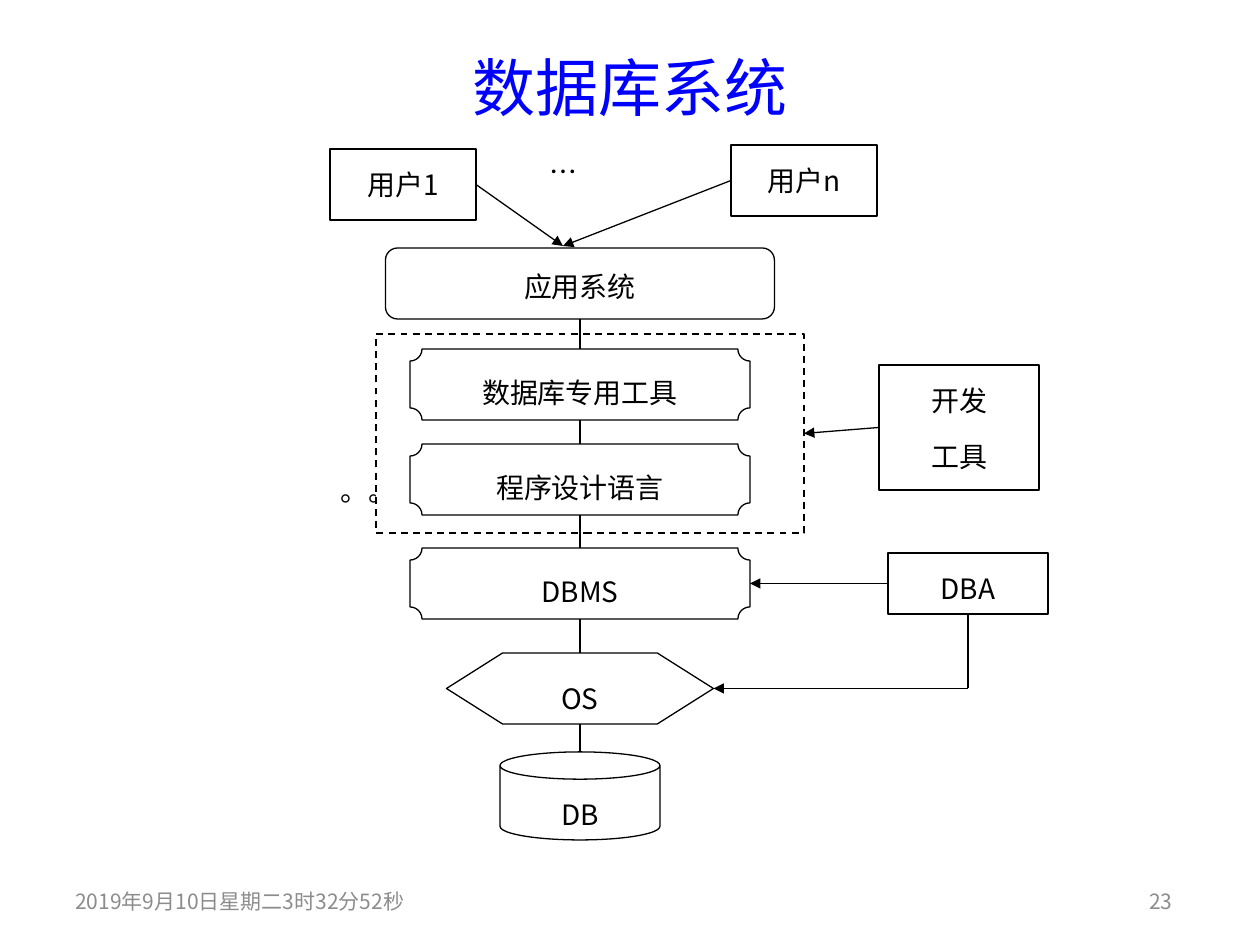
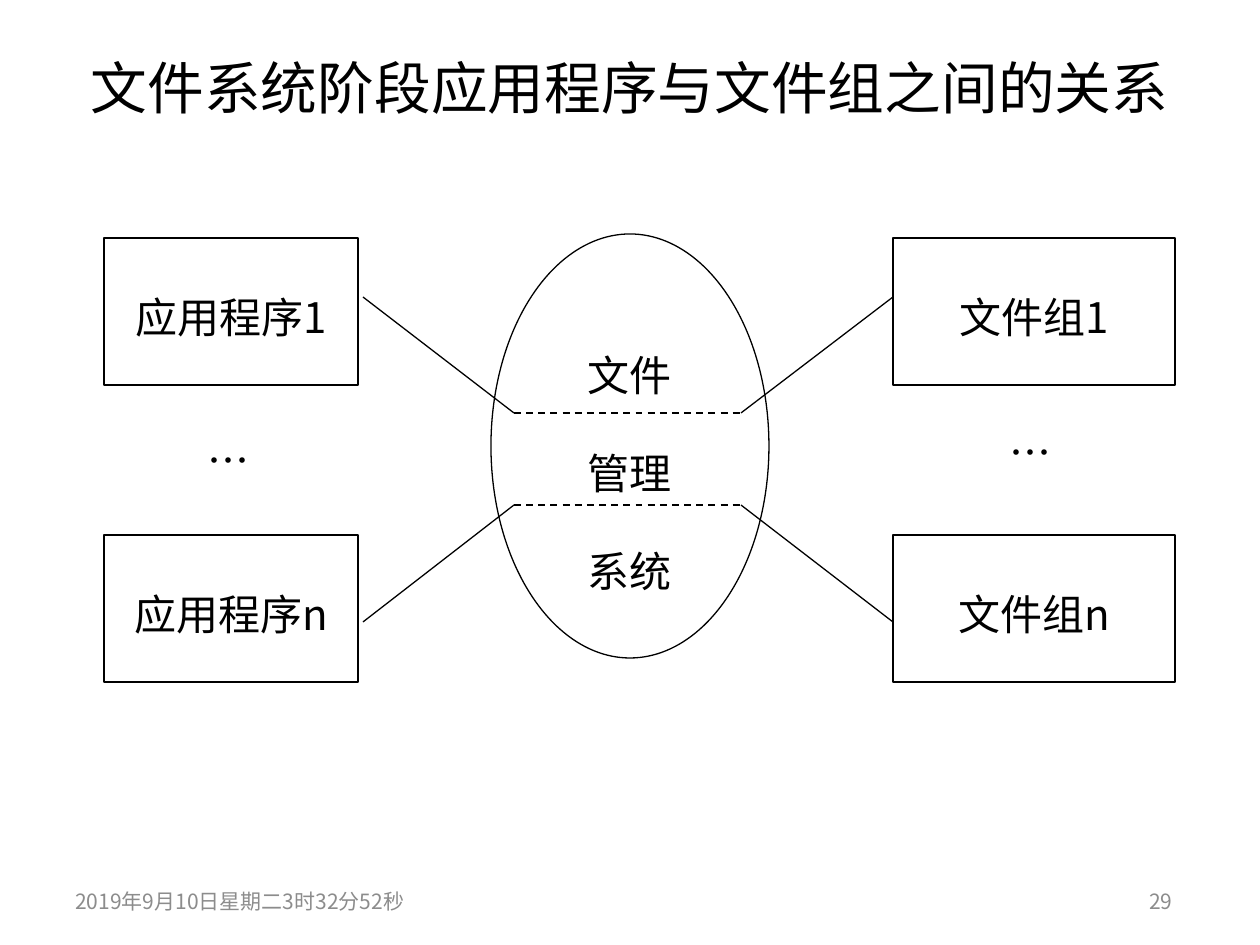
from pptx import Presentation, util as u
from pptx.dml.color import RGBColor
from pptx.enum import dml, shapes, text
from pptx.oxml import parse_xml
from pptx.oxml.ns import nsdecls, qn

FONT = "Noto Sans CJK SC"
BLACK, WHITE, BLUE, GRAY = "000000", "FFFFFF", "0000FF", "8C8C8C"
SHAPE, ALIGN, ANCHOR = shapes.MSO_SHAPE, text.PP_ALIGN, text.MSO_ANCHOR
DATE = "2019年9月10日星期二3时32分52秒"

# Slide 1: the layers share one centre line: text, shape, adjustment, top, width, height
AXIS = 580
LAYERS = [
    ("应用系统", SHAPE.ROUNDED_RECTANGLE, 0.17, 248, 389, 71),
    ("数据库专用工具", SHAPE.PLAQUE, 0.17, 349, 340, 71),
    ("程序设计语言", SHAPE.PLAQUE, 0.17, 444, 340, 71),
    ("DBMS", SHAPE.PLAQUE, 0.17, 548, 340, 71),
    ("OS", SHAPE.HEXAGON, 0.79, 653, 267, 71),
    ("DB", SHAPE.CAN, 0.31, 752, 160, 88),
]
# Boxes around the layers: text, (left, top, width, height)
ACTORS = [
    ("用户1", (330, 149, 146, 71)),
    ("用户n", (731, 145, 146, 71)),
    ("开发\n工具", (879, 365, 160, 125)),
    ("DBA", (888, 553, 160, 61)),
]
USER_ENTRY = (563, 246)
TOOL_GROUP = (376, 334, 428, 199)
DOTS = [("。。。", (273, 476, 219, 88)), ("…", (435, 157, 257, 88))]

# Slide 2: programs and file groups on either side of the file system
COLUMNS = [  # texts, left, width, ellipsis box, line start, line end
    (("应用程序1", "应用程序n"), 104, 254, (105, 381, 246, 146), 363, 514),
    (("文件组1", "文件组n"), 893, 282, (893, 373, 276, 146), 893, 741),
]
ROWS = [(238, 297, 413), (535, 622, 505)]  # box top, line start, line end
BOX_HEIGHT = 147
FILE_SYSTEM = ("文件\n管理\n系统", (491, 234, 278, 424))


def px(value):
    return u.Emu(round(value * 914400 / 126))


def rgb(code):
    return RGBColor.from_string(code)


def write(frame, words, size, color=BLACK, align=ALIGN.CENTER,
          anchor=ANCHOR.TOP, spacing=None, gap=0):
    frame.text = words
    frame.word_wrap = True
    frame.vertical_anchor = anchor
    for index, paragraph in enumerate(frame.paragraphs):
        paragraph.alignment = align
        if spacing:
            paragraph.line_spacing = u.Pt(spacing)
        if index and gap:
            paragraph.space_before = u.Pt(gap)
        for run in paragraph.runs:
            run.font.size = u.Pt(size)
            run.font.name = FONT
            run.font.color.rgb = rgb(color)
            run.font._element.get_or_add_latin().addnext(
                parse_xml(f'<a:ea {nsdecls("a")} typeface="{FONT}"/>'))


def outline(item, dashed=False):
    item.line.color.rgb = rgb(BLACK)
    item.line.width = u.Pt(1 if dashed else 0.75)
    if dashed:
        item.line.dash_style = dml.MSO_LINE.DASH


def add_label(slide, words, box, size, **style):
    label = slide.shapes.add_textbox(*map(px, box))
    write(label.text_frame, words, size, **style)


def add_box(slide, words, box, size=16, kind=SHAPE.RECTANGLE,
            adjustment=None, dashed=False, **style):
    shape = slide.shapes.add_shape(kind, *map(px, box))
    shape.shadow.inherit = False
    shape.fill.solid()
    shape.fill.fore_color.rgb = rgb(WHITE)
    outline(shape, dashed)
    if adjustment is not None:
        shape.adjustments[0] = adjustment
    if words:
        write(shape.text_frame, words, size, **style)


def add_line(slide, start, end, arrow=False, dashed=False):
    line = slide.shapes.add_connector(
        shapes.MSO_CONNECTOR.STRAIGHT, *map(px, (*start, *end)))
    outline(line, dashed)
    if arrow:
        line.line._get_or_add_ln().append(
            parse_xml(f'<a:tailEnd {nsdecls("a")} type="triangle"/>'))
    line._element.spPr.append(line._element.makeelement(qn("a:effectLst"), {}))


def side(box, across, down):
    """Point of a box at the given fractions of its width and height."""
    left, top, width, height = box
    return left + across * width, top + down * height


def add_page(deck, title, number, size, color):
    slide = deck.slides.add_slide(deck.slide_layouts[5])
    heading = slide.shapes.title
    heading.left, heading.top, heading.width, heading.height = map(px, (63, 38, 1133, 97))
    write(heading.text_frame, title, size, color, anchor=ANCHOR.MIDDLE)
    for words, box, align in [(DATE, (63, 876, 378, 50), ALIGN.LEFT),
                              (number, (903, 876, 282, 50), ALIGN.RIGHT)]:
        add_label(slide, words, box, 12, color=GRAY, align=align, anchor=ANCHOR.MIDDLE)
    return slide


def build_database_system(deck):
    slide = add_page(deck, "数据库系统", "23", 36, BLUE)
    for words, box in DOTS:
        add_label(slide, words, box, 16, spacing=14)
    add_box(slide, "", TOOL_GROUP, dashed=True)

    layers = {}
    for words, kind, adjustment, top, width, height in LAYERS:
        layers[words] = (AXIS - width / 2, top, width, height)
        add_box(slide, words, layers[words], kind=kind, adjustment=adjustment, spacing=26)
    stack = list(layers.values())
    for upper, lower in zip(stack, stack[1:]):
        add_line(slide, side(upper, 0.5, 1), side(lower, 0.5, 0))

    for words, box in ACTORS:
        add_box(slide, words, box, spacing=26, gap=6)
    first_user, last_user, tools, dba = (box for _, box in ACTORS)
    os_tip = side(layers["OS"], 1, 0.5)
    corner = (side(dba, 0.5, 1)[0], os_tip[1])
    add_line(slide, side(dba, 0.5, 1), corner)
    for start, end in [
        (side(first_user, 1, 0.5), USER_ENTRY),
        (side(last_user, 0, 0.5), USER_ENTRY),
        (side(tools, 0, 0.5), side(TOOL_GROUP, 1, 0.5)),
        (side(dba, 0, 0.5), side(layers["DBMS"], 1, 0.5)),
        (corner, os_tip),
    ]:
        add_line(slide, start, end, arrow=True)


def build_file_system(deck):
    slide = add_page(deck, "文件系统阶段应用程序与文件组之间的关系", "29", 32.4, BLACK)
    style = dict(size=24, spacing=56)
    words, oval = FILE_SYSTEM
    add_box(slide, words, oval, kind=SHAPE.OVAL, **style)
    for names, left, width, dots, outer, inner in COLUMNS:
        add_label(slide, "…", dots, **style)
        for name, (top, outer_y, inner_y) in zip(names, ROWS):
            add_box(slide, name, (left, top, width, BOX_HEIGHT), **style)
            add_line(slide, (outer, outer_y), (inner, inner_y))
    (*_, left_end), (*_, right_end) = COLUMNS
    for *_, y in ROWS:
        add_line(slide, (left_end, y), (right_end, y), dashed=True)


def main():
    deck = Presentation()
    deck.slide_width, deck.slide_height = px(1260), px(945)
    build_database_system(deck)
    build_file_system(deck)
    deck.save("out.pptx")


if __name__ == "__main__":
    main()
